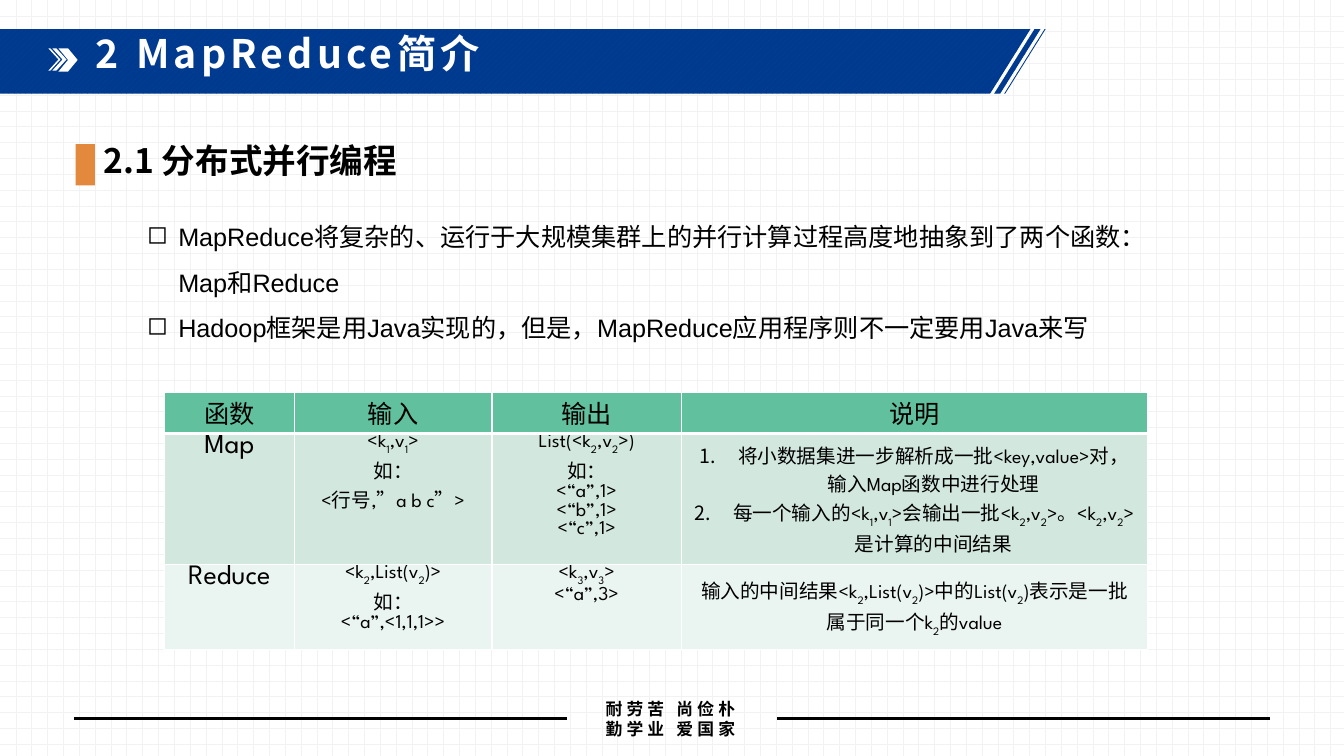
import lxml.etree
import pptx
import pptx.dml.color
import pptx.enum.dml
import pptx.enum.shapes
import pptx.enum.text
import pptx.oxml
import pptx.oxml.ns
import pptx.util
from dataclasses import dataclass

Inches = pptx.util.Inches
Pt = pptx.util.Pt
PATTERN = pptx.enum.dml.MSO_PATTERN
SHAPE = pptx.enum.shapes.MSO_SHAPE
ALIGN = pptx.enum.text.PP_ALIGN
ANCHOR = pptx.enum.text.MSO_ANCHOR
qn = pptx.oxml.ns.qn


@dataclass(frozen=True)
class Theme:
    white: str = "FFFFFF"
    black: str = "000000"
    grid: str = "F2F2F2"
    banner: str = "003A8F"
    banner_stripe: str = "00449A"
    accent: str = "E3893D"
    row_fills: tuple = ("61C09E", "D2E8DF", "EAF4F0")
    cjk: str = "Noto Sans CJK SC"
    body: str = "Arial"
    table: str = "League Spartan"
    title_size: int = 28
    section_size: int = 24
    function_size: int = 20
    body_size: int = 18
    cell_size: int = 14
    motto_size: int = 12


def rgb(code):
    return pptx.dml.color.RGBColor.from_string(code)


class SlideBuilder:
    def __init__(self, slide, theme):
        self.slide, self.theme = slide, theme

    def pattern(self, fill, kind, fore, back):
        fill.patterned()
        fill.pattern = kind
        fill.fore_color.rgb, fill.back_color.rgb = rgb(fore), rgb(back)

    def finish(self, shape, color):
        shape.shadow.inherit = False
        shape.line.fill.background()
        shape.fill.solid()
        shape.fill.fore_color.rgb = rgb(color)
        return shape

    def preset(self, kind, box, color):
        return self.finish(self.slide.shapes.add_shape(kind, *map(Inches, box)), color)

    def outline(self, contours, color):
        """Draw closed contours, each a list of points in inches, as one shape."""
        builder = None
        for contour in contours:
            start, *rest = [(Inches(x), Inches(y)) for x, y in contour]
            if builder is None:
                builder = self.slide.shapes.build_freeform(*start)
            else:
                builder.move_to(*start)
            builder.add_line_segments(rest, close=True)
        return self.finish(builder.convert_to_shape(), color)

    def rule(self, left, right, y):
        line = self.slide.shapes.add_connector(
            pptx.enum.shapes.MSO_CONNECTOR.STRAIGHT,
            Inches(left), Inches(y), Inches(right), Inches(y))
        line.line.color.rgb, line.line.width = rgb(self.theme.black), Pt(2)
        lxml.etree.SubElement(line._element.spPr, qn("a:effectLst"))

    def add_runs(self, paragraph, text, size, font, color=None, bold=False,
                 spacing=0, east_asian=None):
        """Add runs; the character after each underscore is a subscript."""
        first, *others = text.split("_")
        pieces = [(first, False)]
        for part in others:
            pieces += [(part[0], True), (part[1:], False)]
        for words, subscript in pieces:
            if not words:
                continue
            run = paragraph.add_run()
            run.text = words
            run.font.size, run.font.name, run.font.bold = Pt(size), font, bold
            run.font.color.rgb = rgb(color or self.theme.black)
            properties = run._r.get_or_add_rPr()
            if spacing:
                properties.set("spc", str(spacing * 100))
            if subscript:
                properties.set("baseline", "-30000")
            east = lxml.etree.Element(qn("a:ea"))
            east.set("typeface", east_asian or self.theme.cjk)
            properties.find(qn("a:latin")).addnext(east)

    def bullet(self, paragraph, tag, attribute, value, indent):
        properties = paragraph._p.get_or_add_pPr()
        properties.set("marL", str(Inches(indent)))
        properties.set("indent", str(-Inches(indent)))
        lxml.etree.SubElement(properties, qn(tag)).set(attribute, value)

    def frame(self, box, shape=None, anchor=ANCHOR.TOP, left=0.1, edge=0.0):
        shape = shape or self.slide.shapes.add_textbox(*map(Inches, box))
        shape.left, shape.top, shape.width, shape.height = map(Inches, box)
        frame = shape.text_frame
        frame.word_wrap = True
        frame.auto_size = pptx.enum.text.MSO_AUTO_SIZE.NONE
        frame.vertical_anchor = anchor
        frame.margin_left = Inches(left)
        frame.margin_top = frame.margin_bottom = Inches(edge)
        return frame

    def paragraphs(self, frame, lines):
        for index, line in enumerate(lines):
            yield frame.add_paragraph() if index else frame.paragraphs[0], line

    def heading(self, text, box, size, color, shape=None, left=0.1, spacing=0):
        paragraph = self.frame(box, shape, left=left).paragraphs[0]
        paragraph.alignment, paragraph.line_spacing = ALIGN.LEFT, 0.9
        self.add_runs(paragraph, text, size, self.theme.cjk, color, True, spacing)

    def bullets(self, lines, box):
        for paragraph, line in self.paragraphs(self.frame(box, edge=0.05), lines):
            paragraph.line_spacing = 1.5
            self.bullet(paragraph, "a:buChar", "char", "◻", 0.31)
            self.add_runs(paragraph, line, self.theme.body_size, self.theme.body,
                          east_asian=self.theme.body)

    def motto(self, lines, box):
        frame = self.frame(box, anchor=ANCHOR.MIDDLE, edge=0.05)
        for paragraph, line in self.paragraphs(frame, lines):
            paragraph.alignment = ALIGN.CENTER
            self.add_runs(paragraph, line, self.theme.motto_size, self.theme.cjk,
                          bold=True, spacing=3)

    def borders(self, cell, row):
        widths = {"L": 1, "R": 1, "T": 3 if row == 1 else 1, "B": 1 if row else 3}
        for index, (side, width) in enumerate(widths.items()):
            edge = lxml.etree.Element(qn(f"a:ln{side}"))
            edge.set("w", str(Pt(width)))
            fill = lxml.etree.SubElement(edge, qn("a:solidFill"))
            lxml.etree.SubElement(fill, qn("a:srgbClr")).set("val", self.theme.white)
            cell._tc.get_or_add_tcPr().insert(index, edge)

    def table(self, rows, left, top, widths, heights):
        theme = self.theme
        table = self.slide.shapes.add_table(
            len(rows), len(widths), Inches(left), Inches(top),
            Inches(sum(widths)), Inches(sum(heights))).table
        table.first_row = table.horz_banding = False
        for column, width in zip(table.columns, widths):
            column.width = Inches(width)
        for r, cells in enumerate(rows):
            table.rows[r].height = Inches(heights[r])
            for c, lines in enumerate(cells):
                cell = table.cell(r, c)
                cell.fill.solid()
                cell.fill.fore_color.rgb = rgb(theme.row_fills[r])
                self.borders(cell, r)
                cell.margin_top = cell.margin_bottom = 0
                explained = c == len(widths) - 1
                cell.vertical_anchor = ANCHOR.MIDDLE if explained or r == 0 else ANCHOR.TOP
                size = (theme.body_size if r == 0 else
                        theme.function_size if c == 0 else theme.cell_size)
                for paragraph, line in self.paragraphs(cell.text_frame, lines):
                    paragraph.alignment = ALIGN.CENTER
                    if explained and len(lines) > 1:
                        self.bullet(paragraph, "a:buAutoNum", "type", "arabicPeriod", 0.38)
                    self.add_runs(paragraph, line, size, theme.table)


FUNCTIONS = [
    [["函数"], ["输入"], ["输出"], ["说明"]],
    [["Map"],
     ["<k_1,v_1>", "如：", "<行号,”a b c”>"],
     ["List(<k_2,v_2>)", "如：", "<“a”,1>", "<“b”,1>", "<“c”,1>"],
     ["将小数据集进一步解析成一批<key,value>对，输入Map函数中进行处理",
      "每一个输入的<k_1,v_1>会输出一批<k_2,v_2>。<k_2,v_2>是计算的中间结果"]],
    [["Reduce"],
     ["<k_2,List(v_2)>", "如：", "<“a”,<1,1,1>>"],
     ["<k_3,v_3>", "<“a”,3>"],
     ["输入的中间结果<k_2,List(v_2)>中的List(v_2)表示是一批属于同一个k_2的value"]],
]


def main():
    theme = Theme()
    deck = pptx.Presentation()
    deck.slide_width, deck.slide_height = Inches(13.33), Inches(7.5)
    slide = deck.slides.add_slide(deck.slide_layouts[5])
    page = SlideBuilder(slide, theme)
    page.pattern(slide.background.fill, PATTERN.DOTTED_GRID, theme.grid, theme.white)

    top, bottom, slant = 0.29, 0.93, 0.4
    stripes = [[(a, top), (b, top), (b - slant, bottom), (a - slant, bottom)]
               for a, b in ((10.36, 10.37), (10.26, 10.32))]
    bar = [(0, top), (10.22, top), (10.22 - slant, bottom), (0, bottom)]
    banner = page.outline(stripes + [bar], theme.banner)
    page.pattern(banner.fill, PATTERN.WIDE_UPWARD_DIAGONAL,
                 theme.banner_stripe, theme.banner)
    page.preset(SHAPE.CHEVRON, (0.58, 0.48, 0.19, 0.23), theme.white)
    for left, thickness in ((0.52, 0.04), (0.48, 0.02)):
        inner, outer = left + 0.1, left + 0.1 + thickness
        page.outline([[(left, 0.48), (left + thickness, 0.48), (outer, 0.59),
                       (left + thickness, 0.7), (left, 0.7), (inner, 0.59)]], theme.white)

    page.motto(["耐劳苦 尚俭朴", "勤学业 爱国家"], (5.61, 6.88, 2.08, 0.5))
    for left, right in ((7.71, 12.6), (0.73, 5.62)):
        page.rule(left, right, 7.13)
    page.preset(SHAPE.RECTANGLE, (0.75, 1.43, 0.19, 0.41), theme.accent)

    page.heading("2 MapReduce简介", (0.72, 0.34, 8.31, 0.56), theme.title_size,
                 theme.white, slide.shapes.title, left=0.23, spacing=3)
    # Bring the title in front of the banner.
    slide.shapes._spTree.append(slide.shapes.title._element)
    page.heading("2.1 分布式并行编程", (0.93, 1.43, 11.67, 0.41),
                 theme.section_size, theme.black)
    page.bullets(
        ["MapReduce将复杂的、运行于大规模集群上的并行计算过程高度地抽象到了两个函数：Map和Reduce",
         "Hadoop框架是用Java实现的，但是，MapReduce应用程序则不一定要用Java来写"],
        (1.36, 2, 10.18, 1.41))
    page.table(FUNCTIONS, 1.63, 3.89, (1.29, 1.96, 1.88, 4.62), (0.41, 1.3, 0.84))
    deck.save("out.pptx")


if __name__ == "__main__":
    main()
